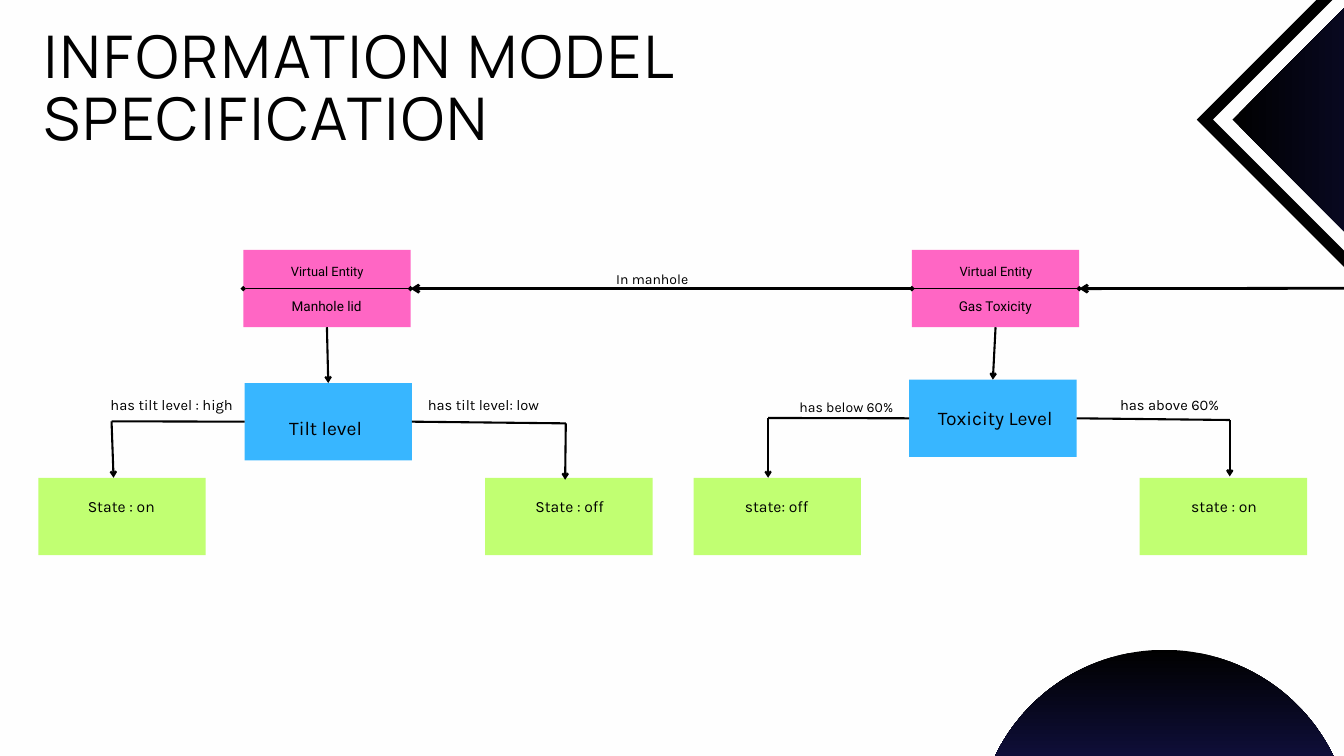
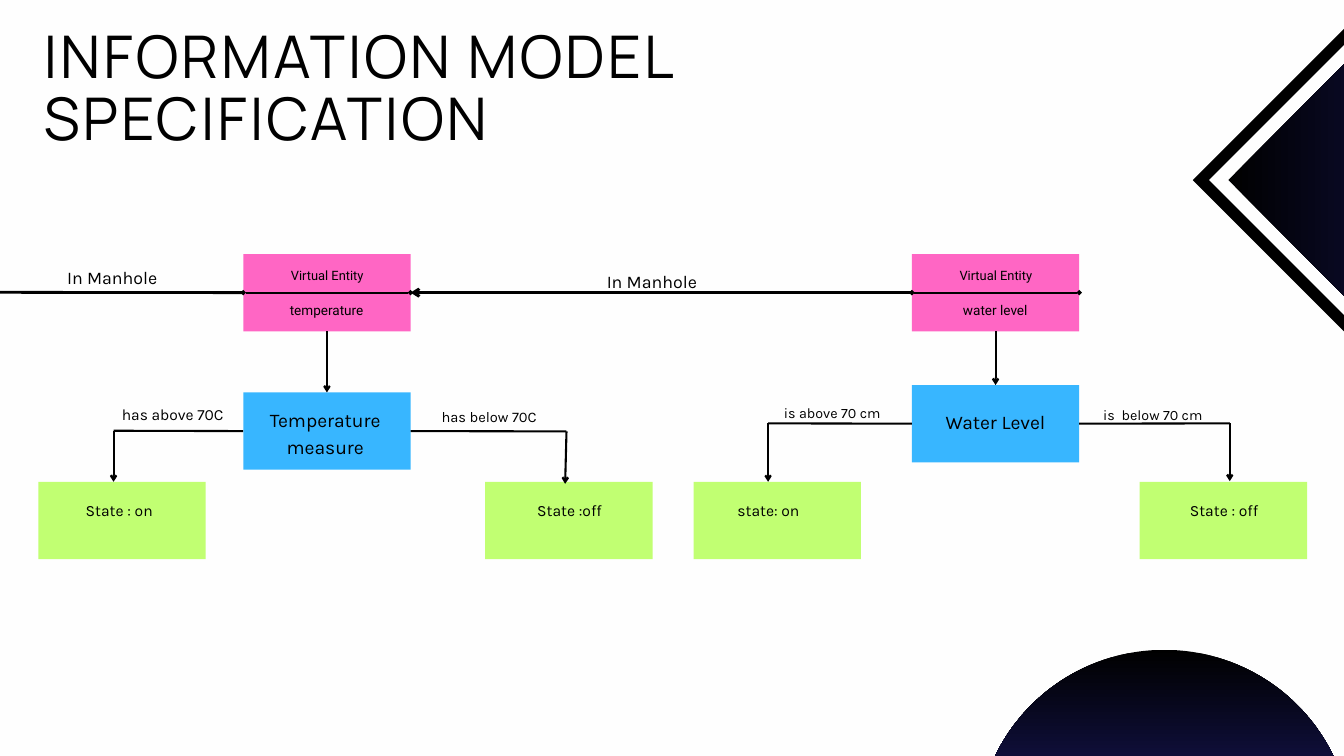
from dataclasses import dataclass
from typing import NamedTuple

import lxml.etree
import pptx
import pptx.dml.color
import pptx.enum.shapes
import pptx.enum.text
import pptx.oxml.ns
import pptx.util

EMU_PER_PX = 9144
SLIDE_SIZE = (2000, 1125)
PAPER, INK, NIGHT = "FEFEFE", "000000", "3533CD"
ENTITY_PINK, MEASURE_BLUE, STATE_GREEN = "FF66C4", "38B6FF", "C1FF72"
CARD_WIDTH, CARD_HEIGHT = 249, 115
THIN, MEDIUM, THICK = 1.88, 2.25, 3
TOP, LEFT, BOTTOM, RIGHT = range(4)
LINE_RATIO = {"Karla": 1.4, "Roboto": 1.3}
TITLE = "INFORMATION MODEL SPECIFICATION"
Shapes = pptx.enum.shapes.MSO_SHAPE


class Point(NamedTuple):
    x: int
    y: int


class Box(NamedTuple):
    left: int
    top: int
    width: int
    height: int


class Site(NamedTuple):
    shape: pptx.shapes.autoshape.Shape
    side: int


@dataclass(frozen=True)
class Label:
    text: str
    box: Box
    size: float
    font: str = "Karla"


@dataclass(frozen=True)
class Branch:
    side: int
    corner: Point
    tip: Point
    condition: Label
    state: str
    state_left: int
    state_shift: int = 0


@dataclass(frozen=True)
class Entity:
    name: str
    left: int
    measure: Label
    measure_at: Point
    branches: tuple[Branch, ...]


@dataclass(frozen=True)
class Model:
    entity_top: int
    state_top: int
    chevron: Point
    entities: tuple[Entity, ...]
    relations: tuple[Label, ...]


MODELS = (
    Model(372, 711, Point(2159, 178), (
        Entity("Manhole lid", 362, Label("Tilt level", Box(424, 614, 121, 39), 20.7), Point(364, 570), (
            Branch(LEFT, Point(166, 627), Point(169, 711),
                   Label("has tilt level : high", Box(159, 585, 193, 30), 15.7), "State : on", 57),
            Branch(RIGHT, Point(842, 630), Point(841, 714),
                   Label("has tilt level: low", Box(627, 585, 185, 30), 15.7), "State : off", 722, 2),
        )),
        Entity("Gas Toxicity", 1357, Label("Toxicity Level", Box(1384, 598, 194, 39), 20.7), Point(1353, 565), (
            Branch(LEFT, Point(1143, 622), Point(1143, 711),
                   Label("has below 60%", Box(1183, 589, 153, 28), 15), "state: off", 1032),
            Branch(RIGHT, Point(1830, 625), Point(1830, 709),
                   Label("has above 60%", Box(1660, 585, 161, 30), 15.7), "state : on", 1696, 2),
        )),
    ), (Label("In manhole", Box(760, 398, 421, 28), 15),)),
    Model(378, 717, Point(2153, 268), (
        Entity("temperature", 362, Label("Temperature\nmeasure", Box(392, 602, 184, 79), 20.7), Point(362, 584), (
            Branch(LEFT, Point(169, 641), Point(169, 717),
                   Label("has above 70C", Box(175, 598, 164, 32), 16.7), "State : on", 57, -3),
            Branch(RIGHT, Point(843, 642), Point(841, 720),
                   Label("has below 70C", Box(651, 603, 154, 30), 15.7), "State :off", 722, 2),
        )),
        Entity("water level", 1357, Label("Water Level", Box(1398, 604, 167, 39), 20.7), Point(1357, 573), (
            Branch(LEFT, Point(1143, 630), Point(1143, 717),
                   Label("is above 70 cm", Box(1129, 598, 219, 28), 15.3), "state: on", 1032, -12),
            Branch(RIGHT, Point(1830, 630), Point(1830, 716),
                   Label("is  below 70 cm", Box(1606, 601, 219, 28), 15.3), "State : off", 1696, 2),
        )),
    ), (Label("In Manhole", Box(899, 397, 142, 36), 19.1), Label("In Manhole", Box(96, 391, 142, 36), 19.1))),
)


def px(*lengths: int) -> list[pptx.util.Emu]:
    return [pptx.util.Emu(length * EMU_PER_PX) for length in lengths]


def colour(value: str) -> pptx.dml.color.RGBColor:
    return pptx.dml.color.RGBColor.from_string(value)


def paint(shape, fill: str) -> None:
    shape.shadow.inherit = False
    shape.line.fill.background()
    shape.fill.solid()
    shape.fill.fore_color.rgb = colour(fill)


def add_preset(slide, preset, box: Box, fill: str):
    shape = slide.shapes.add_shape(preset, *px(*box))
    paint(shape, fill)
    return shape


def add_card(slide, left: int, top: int, fill: str):
    return add_preset(slide, Shapes.RECTANGLE, Box(left, top, CARD_WIDTH, CARD_HEIGHT), fill)


def fade_to_night(shape, angle: int) -> None:
    shape.fill.gradient()
    shape.fill.gradient_angle = angle
    for stop, shade in zip(shape.fill.gradient_stops, (INK, NIGHT)):
        stop.color.rgb = colour(shade)


def set_text(shape, text: str, size: float, font: str, spacing: float, align) -> None:
    frame = shape.text_frame
    frame.margin_left = frame.margin_right = frame.margin_top = frame.margin_bottom = 0
    frame.word_wrap = True
    frame.vertical_anchor = pptx.enum.text.MSO_ANCHOR.TOP
    frame.auto_size = pptx.enum.text.MSO_AUTO_SIZE.SHAPE_TO_FIT_TEXT
    frame.text = text
    for paragraph in frame.paragraphs:
        paragraph.alignment = align
        paragraph.line_spacing = pptx.util.Pt(spacing)
        for run in paragraph.runs:
            run.font.name = font
            run.font.size = pptx.util.Pt(size)
            run.font.color.rgb = colour(INK)


def add_label(slide, label: Label) -> None:
    spacing = round(label.size * LINE_RATIO[label.font], 1)
    set_text(slide.shapes.add_textbox(*px(*label.box)), label.text, label.size, label.font,
             spacing, pptx.enum.text.PP_ALIGN.CENTER)


def add_line(slide, start: Point | Site, finish: Point | Site, weight: float,
             head: str = "", tail: str = "") -> None:
    ends = [end if isinstance(end, Point) else Point(0, 0) for end in (start, finish)]
    connector = slide.shapes.add_connector(
        pptx.enum.shapes.MSO_CONNECTOR.STRAIGHT, *px(*ends[0], *ends[1]))
    if isinstance(start, Site):
        connector.begin_connect(*start)
    if isinstance(finish, Site):
        connector.end_connect(*finish)
    connector.line.width = pptx.util.Pt(weight)
    connector.line.color.rgb = colour(INK)
    outline = connector.line._get_or_add_ln()
    for tag, kind in (("a:headEnd", head), ("a:tailEnd", tail)):
        if kind:
            lxml.etree.SubElement(outline, pptx.oxml.ns.qn(tag), type=kind)
    lxml.etree.SubElement(outline.getparent(), pptx.oxml.ns.qn("a:effectLst"))


def add_title(slide) -> None:
    title = slide.shapes.title
    title.left, title.top, title.width, title.height = px(65, 43, 1550, 192)
    set_text(title, TITLE, 63, "Manrope", 66.2, pptx.enum.text.PP_ALIGN.LEFT)
    for run in title.text_frame.paragraphs[0].runs:
        run.font._element.set("spc", "310")


def add_decoration(slide, chevron: Point) -> None:
    core_radius, outer, inner = 508, 378, 354
    x, y = chevron
    core = add_preset(slide, Shapes.DIAMOND,
                      Box(x + 183 - core_radius, y - core_radius, 2 * core_radius, 2 * core_radius), INK)
    fade_to_night(core, 0)
    builder = slide.shapes.build_freeform(x + outer, y, scale=EMU_PER_PX)
    builder.add_line_segments([(x, y - outer), (x - outer, y), (x, y + outer)], close=True)
    builder.move_to(x - inner, y)
    builder.add_line_segments([(x, y - inner), (x + inner, y), (x, y + inner)], close=True)
    paint(builder.convert_to_shape(), INK)
    fade_to_night(add_preset(slide, Shapes.OVAL, Box(1453, 967, 559, 559), INK), 270)


def add_branch(slide, branch: Branch, measure, state_top: int) -> None:
    add_card(slide, branch.state_left, state_top, STATE_GREEN)
    add_label(slide, Label(branch.state, Box(branch.state_left + branch.state_shift, state_top + 23, 247, 32), 16.8))
    add_label(slide, branch.condition)
    add_line(slide, Site(measure, branch.side), branch.corner, MEDIUM)
    add_line(slide, branch.corner, branch.tip, MEDIUM, tail="arrow")


def add_entity(slide, entity: Entity, model: Model):
    left, top = entity.left, model.entity_top
    card = add_card(slide, left, top, ENTITY_PINK)
    add_label(slide, Label("Virtual Entity", Box(left + 32, top + 19, 186, 24), 13.8, "Roboto"))
    add_label(slide, Label(entity.name, Box(left + 60, top + 70, 128, 25), 14.5, "Roboto"))
    add_line(slide, Site(card, LEFT), Site(card, RIGHT), THIN, "diamond", "diamond")
    measure = add_card(slide, *entity.measure_at, MEASURE_BLUE)
    add_label(slide, entity.measure)
    add_line(slide, Site(card, BOTTOM), Site(measure, TOP), MEDIUM, tail="arrow")
    for branch in entity.branches:
        add_branch(slide, branch, measure, model.state_top)
    return card


def add_model(presentation, model: Model):
    slide = presentation.slides.add_slide(presentation.slide_layouts[5])
    add_title(slide)
    add_decoration(slide, model.chevron)
    first, second = [add_entity(slide, entity, model) for entity in model.entities]
    add_line(slide, Site(second, LEFT), Site(first, RIGHT), THICK, tail="arrow")
    for relation in model.relations:
        add_label(slide, relation)
    return slide, first, second


def main() -> None:
    presentation = pptx.Presentation()
    presentation.slide_width, presentation.slide_height = px(*SLIDE_SIZE)
    background = presentation.slide_master.background.fill
    background.solid()
    background.fore_color.rgb = colour(PAPER)
    (lid_slide, _, toxicity), (water_slide, temperature, _) = [
        add_model(presentation, model) for model in MODELS]
    add_line(lid_slide, Point(SLIDE_SIZE[0], 429), Site(toxicity, RIGHT), THICK, tail="arrow")
    add_line(water_slide, Site(temperature, LEFT), Point(0, 435), THICK)
    presentation.save("out.pptx")


if __name__ == "__main__":
    main()
